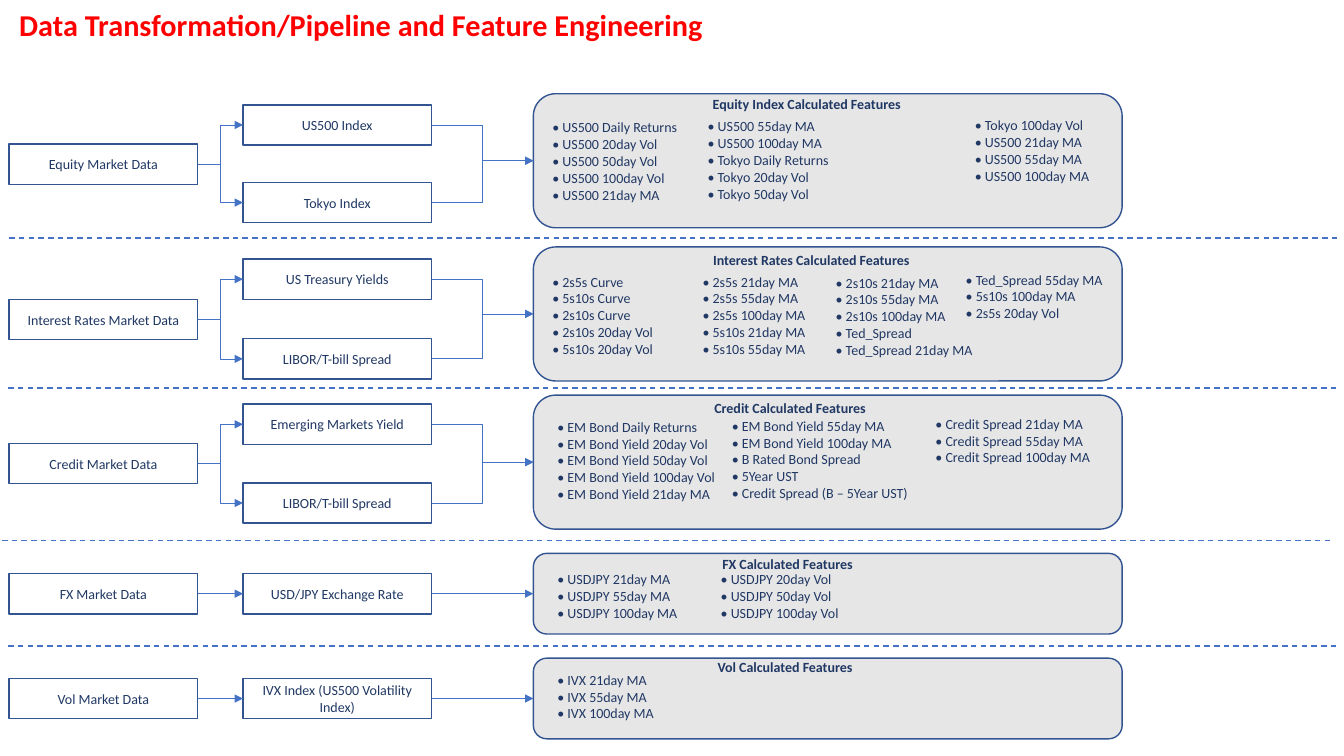
"""Build a slide showing how market data flows into calculated features."""
from lxml import etree
from pptx import Presentation
from pptx.dml.color import RGBColor
from pptx.enum import dml, shapes, text
from pptx.oxml import ns
from pptx.util import Inches, Pt

COLORS = {"title": "FF0000", "ink": "203864", "border": "325491", "panel": "E7E6E6", "link": "4472C4"}
FONT = "Calibri"
TITLE = "Data Transformation/Pipeline and Feature Engineering"

# Each feature column is (left, top, lines); each heading is (text, left, top, width).
LANES = [
    {
        "market": ("Equity Market Data", 1.43),
        "sources": [("US500 Index", 1.04), ("Tokyo Index", 1.81)],
        "panel": (0.93, 1.33),
        "heading": ("Equity Index Calculated Features", 6.29, 0.9, 3.42),
        "columns": [
            (5.38, 1.13, ["US500 Daily Returns", "US500 20day Vol", "US500 50day Vol",
                          "US500 100day Vol", "US500 21day MA"]),
            (6.92, 1.12, ["US500 55day MA", "US500 100day MA", "Tokyo Daily Returns",
                          "Tokyo 20day Vol", "Tokyo 50day Vol"]),
            (9.57, 1.11, ["Tokyo 100day Vol", "US500 21day MA", "US500 55day MA", "US500 100day MA"]),
        ],
    },
    {
        "market": ("Interest Rates Market Data", 2.97),
        "sources": [("US Treasury Yields", 2.57), ("LIBOR/T-bill Spread", 3.36)],
        "panel": (2.45, 1.33),
        "heading": ("Interest Rates Calculated Features", 6.92, 2.45, 2.25),
        "columns": [
            (5.38, 2.66, ["2s5s Curve", "5s10s Curve", "2s10s Curve", "2s10s 20day Vol", "5s10s 20day Vol"]),
            (6.87, 2.66, ["2s5s 21day MA", "2s5s 55day MA", "2s5s 100day MA",
                          "5s10s 21day MA", "5s10s 55day MA"]),
            (8.19, 2.67, ["2s10s 21day MA", "2s10s 55day MA", "2s10s 100day MA",
                          "Ted_Spread", "Ted_Spread 21day MA"]),
            (9.48, 2.64, ["Ted_Spread 55day MA", "5s10s 100day MA", "2s5s 20day Vol"]),
        ],
    },
    {
        "market": ("Credit Market Data", 4.4),
        "sources": [("Emerging Markets Yield", 4.01), ("LIBOR/T-bill Spread", 4.79)],
        "panel": (3.92, 1.33),
        "heading": ("Credit Calculated Features", 6.16, 3.91, 3.35),
        "columns": [
            (5.43, 4.1, ["EM Bond Daily Returns", "EM Bond Yield 20day Vol", "EM Bond Yield 50day Vol",
                         "EM Bond Yield 100day Vol", "EM Bond Yield 21day MA"]),
            (7.16, 4.09, ["EM Bond Yield 55day MA", "EM Bond Yield 100day MA", "B Rated Bond Spread",
                          "5Year UST", "Credit Spread (B – 5Year UST)"]),
            (9.18, 4.07, ["Credit Spread 21day MA", "Credit Spread 55day MA", "Credit Spread 100day MA"]),
        ],
    },
    {
        "market": ("FX Market Data", 5.69),
        "sources": [("USD/JPY Exchange Rate", 5.69)],
        "panel": (5.49, 0.8),
        "heading": ("FX Calculated Features", 6.87, 5.46, 1.88),
        "columns": [
            (5.43, 5.61, ["USDJPY 21day MA", "USDJPY 55day MA", "USDJPY 100day MA"]),
            (7.05, 5.61, ["USDJPY 20day Vol", "USDJPY 50day Vol", "USDJPY 100day Vol"]),
        ],
    },
    {
        "market": ("Vol Market Data", 6.73),
        "sources": [("IVX Index (US500 Volatility Index)", 6.73)],
        "panel": (6.53, 0.8),
        "heading": ("Vol Calculated Features", 6.29, 6.48, 2.99),
        "columns": [(5.43, 6.61, ["IVX 21day MA", "IVX 55day MA", "IVX 100day MA"])],
    },
]
SEPARATORS = [(0.09, 2.36), (0.08, 3.85), (0.02, 5.36), (0.08, 6.41)]
SEPARATOR_WIDTH = 13.17
MARKET_LEFT, SOURCE_LEFT, PANEL_LEFT = 0.09, 2.41, 5.29
BOX_WIDTH, BOX_HEIGHT, PANEL_WIDTH = 1.87, 0.4, 5.84
COLUMN_WIDTH, LINE_HEIGHT, COLUMN_PADDING = 1.97, 0.17, 0.26


def color(name):
    return RGBColor.from_string(COLORS[name])


def write(frame, lines, align, size=10, ink="ink", bold=False):
    frame.word_wrap = True
    for index, line in enumerate(lines):
        para = frame.paragraphs[0] if index == 0 else frame.add_paragraph()
        para.alignment = align
        span = para.add_run()
        span.text = line
        span.font.name, span.font.size, span.font.bold = FONT, Pt(size), bold
        span.font.color.rgb = color(ink)


def add_block(page, preset, left, top, width, height, fill=None):
    block = page.shapes.add_shape(preset, *map(Inches, (left, top, width, height)))
    block.shadow.inherit = False
    if fill:
        block.fill.solid()
        block.fill.fore_color.rgb = color(fill)
    else:
        block.fill.background()
    block.line.color.rgb = color("border")
    block.line.width = Pt(1)
    return block


def add_box(page, label, left, top):
    box = add_block(page, shapes.MSO_SHAPE.RECTANGLE, left, top, BOX_WIDTH, BOX_HEIGHT)
    box.text_frame.vertical_anchor = text.MSO_ANCHOR.MIDDLE
    write(box.text_frame, [label], text.PP_ALIGN.CENTER)
    return box


def add_text(page, lines, left, top, width, height, align, bold=False):
    box = page.shapes.add_textbox(*map(Inches, (left, top, width, height)))
    write(box.text_frame, lines, align, bold=bold)


def add_line(page, kind, width, ends=(0, 0, 0, 0)):
    line = page.shapes.add_connector(kind, *map(Inches, ends))
    line.line.color.rgb = color("link")
    line.line.width = Pt(width)
    etree.SubElement(line._element.spPr, ns.qn("a:effectLst"))
    return line


def join(page, start, end, elbow):
    kind = shapes.MSO_CONNECTOR.ELBOW if elbow else shapes.MSO_CONNECTOR.STRAIGHT
    arrow = add_line(page, kind, 0.5)
    arrow.begin_connect(start, 3)
    arrow.end_connect(end, 1)
    etree.SubElement(arrow.line._get_or_add_ln(), ns.qn("a:tailEnd"), type="triangle")


def add_lane(page, lane):
    market = add_box(page, lane["market"][0], MARKET_LEFT, lane["market"][1])
    sources = [add_box(page, label, SOURCE_LEFT, top) for label, top in lane["sources"]]
    top, height = lane["panel"]
    panel = add_block(page, shapes.MSO_SHAPE.ROUNDED_RECTANGLE, PANEL_LEFT, top, PANEL_WIDTH, height, "panel")
    heading, left, top, width = lane["heading"]
    add_text(page, [heading], left, top, width, 0.27, text.PP_ALIGN.CENTER, bold=True)
    for left, top, features in lane["columns"]:
        height = COLUMN_PADDING + LINE_HEIGHT * len(features)
        bullets = [f"• {feature}" for feature in features]
        add_text(page, bullets, left, top, COLUMN_WIDTH, height, text.PP_ALIGN.LEFT)
    for source in sources:
        join(page, market, source, len(sources) > 1)
        join(page, source, panel, len(sources) > 1)


def main():
    deck = Presentation()
    deck.slide_width, deck.slide_height = Inches(13.33), Inches(7.5)
    page = deck.slides.add_slide(deck.slide_layouts[5])
    title = page.shapes.title
    title.left, title.top, title.width, title.height = map(Inches, (0.09, 0.12, 11.05, 0.36))
    title.text_frame.auto_size = text.MSO_AUTO_SIZE.NONE
    title.text_frame.vertical_anchor = text.MSO_ANCHOR.BOTTOM
    write(title.text_frame, [TITLE], text.PP_ALIGN.LEFT, 21.6, "title", True)
    title.text_frame.paragraphs[0].line_spacing = 0.9
    for left, top in SEPARATORS:
        ends = (left, top, left + SEPARATOR_WIDTH, top)
        separator = add_line(page, shapes.MSO_CONNECTOR.STRAIGHT, 1, ends)
        separator.line.dash_style = dml.MSO_LINE.DASH
    for lane in LANES:
        add_lane(page, lane)
    deck.save("out.pptx")


if __name__ == "__main__":
    main()
